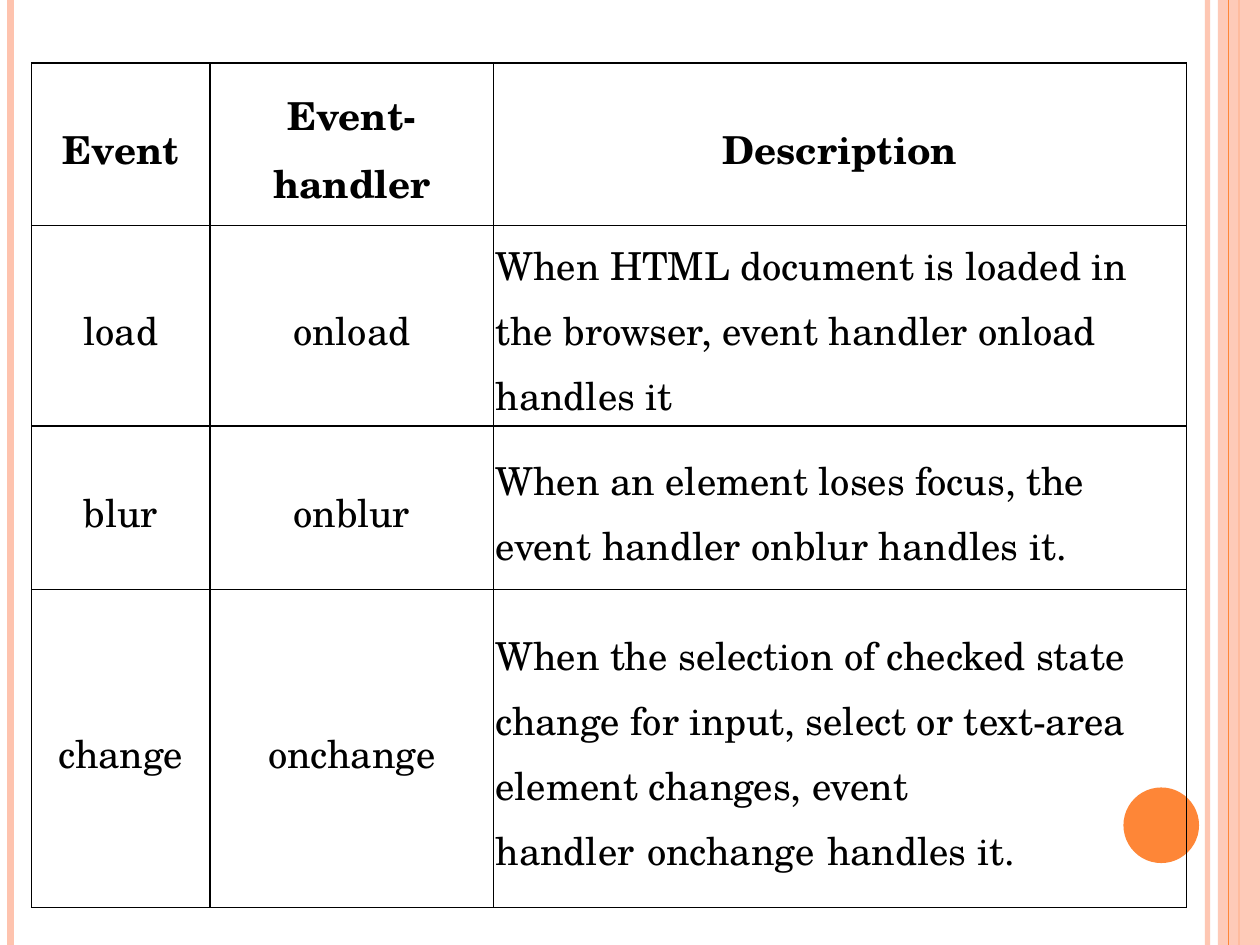
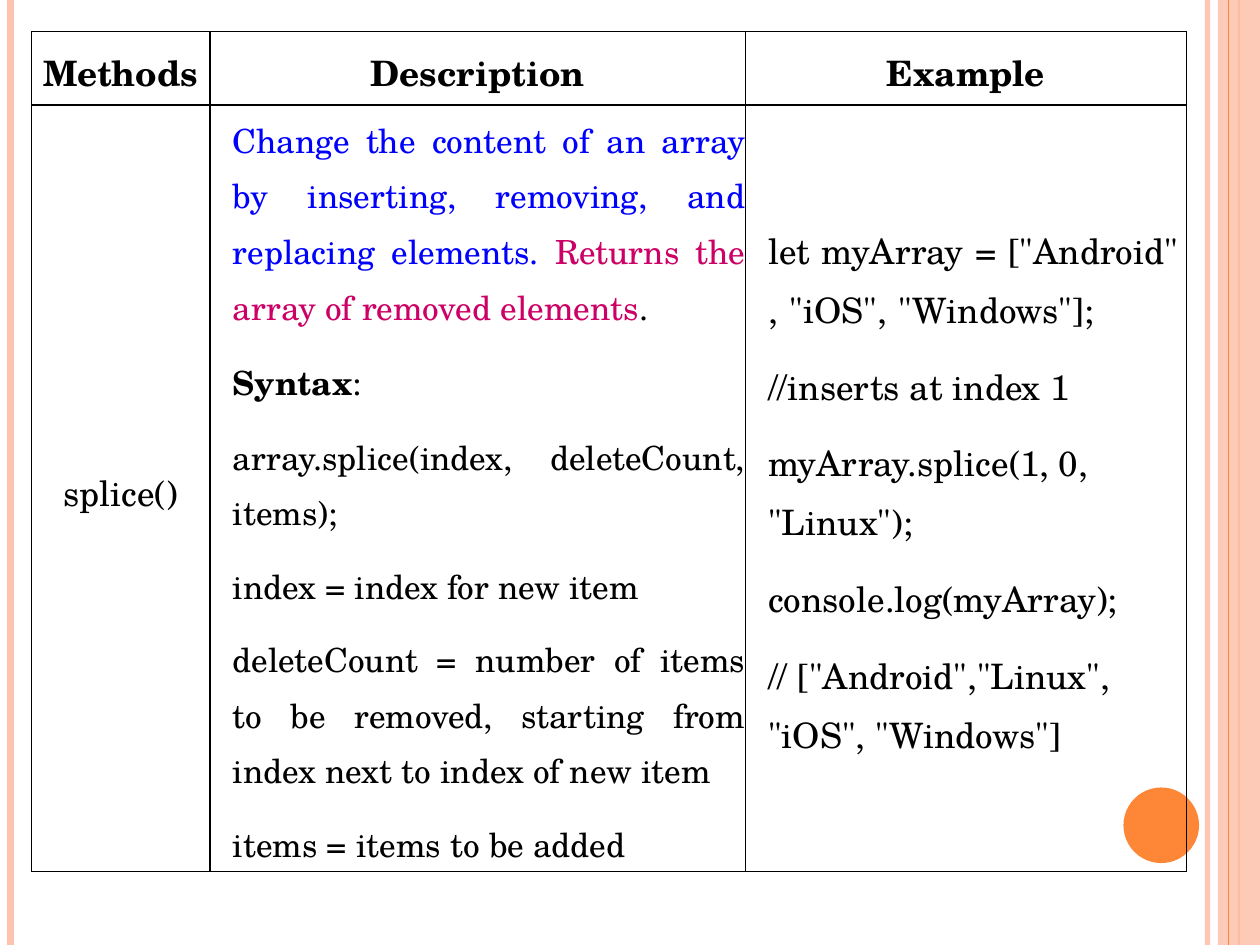
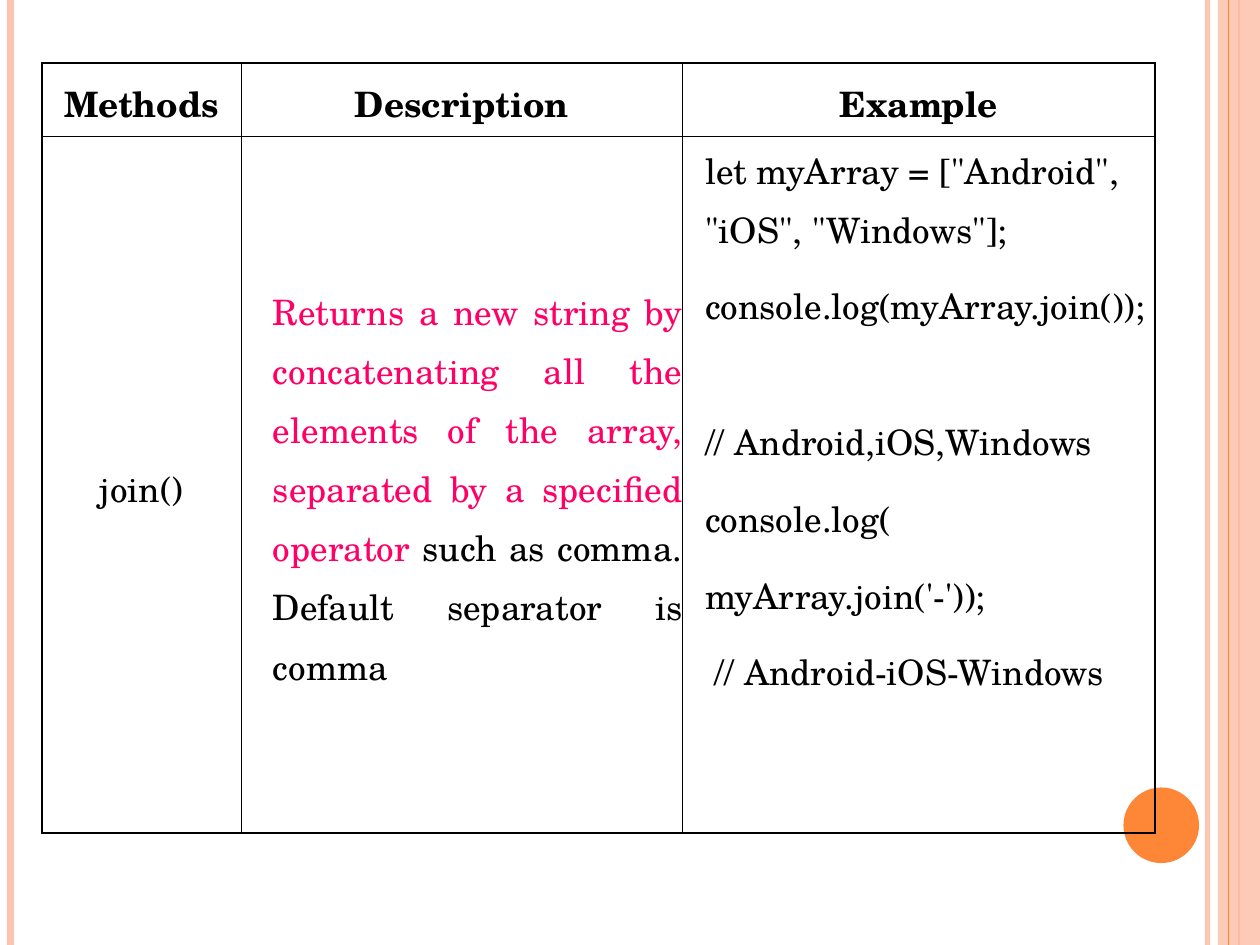
from dataclasses import dataclass
from typing import Optional, Union

from lxml.etree import SubElement
from pptx import Presentation
from pptx.dml.color import RGBColor
from pptx.enum.shapes import MSO_CONNECTOR, MSO_SHAPE
from pptx.enum.text import MSO_ANCHOR, PP_ALIGN
from pptx.oxml import parse_xml
from pptx.oxml.ns import nsdecls, qn
from pptx.util import Pt

SLIDE_WIDTH, SLIDE_HEIGHT = 720, 540
BLANK_LAYOUT = 6
FONT = "TeX Gyre Schola"
BLACK = RGBColor(0x00, 0x00, 0x00)
BLUE = RGBColor(0x00, 0x00, 0xFF)
CRIMSON = RGBColor(0xCC, 0x00, 0x66)
PINK = RGBColor(0xFF, 0x00, 0x66)
ORANGE = RGBColor(0xFE, 0x86, 0x37)
PEACH = RGBColor(0xFE, 0xC3, 0xAE)

LEFT, CENTER, JUSTIFY = PP_ALIGN.LEFT, PP_ALIGN.CENTER, PP_ALIGN.JUSTIFY


@dataclass(frozen=True)
class Stripe:
    x: float
    color: RGBColor
    width: float
    opacity: int = 100


@dataclass(frozen=True)
class Span:
    text: str
    color: RGBColor = BLACK
    bold: bool = False


@dataclass(frozen=True)
class Para:
    content: Union[str, tuple[Span, ...]]
    size: float
    align: PP_ALIGN = LEFT
    indent: float = 0
    bold: bool = False
    space_after: float = 10


@dataclass(frozen=True)
class Cell:
    paras: tuple[Para, ...]
    anchor: MSO_ANCHOR = MSO_ANCHOR.MIDDLE


@dataclass(frozen=True)
class Grid:
    left: float
    top: float
    columns: tuple[float, ...]
    row_heights: tuple[float, ...]
    rows: tuple[tuple[Cell, ...], ...]
    margin: float = 0


OUTER_STRIPES = (Stripe(690, PEACH, 3, 93), Stripe(6, PEACH, 4.5), Stripe(708, ORANGE, 1.5))
BAND_STRIPE = Stripe(702, ORANGE, 0.75)


def tie(text: str) -> str:
    """Keep the words of a phrase together with no-break spaces."""
    return text.replace(" ", chr(160))


def centered(text: str, size: float, bold: bool = False) -> Cell:
    return Cell((Para(text, size, CENTER, bold=bold),))


def header(size: float, *titles: str) -> tuple[Cell, ...]:
    return tuple(centered(title, size, bold=True) for title in titles)


def event_row(event: str, description: str) -> tuple[Cell, ...]:
    return centered(event, 22), centered(f"on{event}", 22), Cell((Para(description, 22),))


def code(text: str, space_after: float = 10) -> Para:
    return Para(text, 20, indent=13, space_after=space_after)


def explanation(content: Union[str, tuple[Span, ...]]) -> Para:
    return Para(content, 19, JUSTIFY, indent=13)


EVENTS = Grid(
    18, 36, (102, 162, 396), (93, 114.5, 93.5, 181.5),
    (
        header(22, "Event", "Event-handler", "Description"),
        event_row("load", "When HTML document is loaded in the browser, "
                          "event handler onload handles it"),
        event_row("blur", "When an element loses focus, the event handler onblur handles it."),
        event_row("change", "When the selection of checked state change for input, select or "
                            "text-area element changes, event "
                            + tie("handler onchange handles") + " it."),
    ),
    margin=1.25,
)

METHOD_HEADER = header(20, "Methods", "Description", "Example")

SPLICE = Grid(
    18, 18, (102, 306, 252), (42, 438),
    (
        METHOD_HEADER,
        (
            centered("splice()", 20),
            Cell((
                explanation((
                    Span("Change the content of an array by inserting, removing, "
                         "and replacing elements. ", BLUE),
                    Span("Returns the array of removed elements", CRIMSON),
                    Span("."),
                )),
                explanation((Span("Syntax", bold=True), Span(":"))),
                explanation("array.splice(index, deleteCount, items);"),
                explanation("index = index for new item"),
                explanation("deleteCount = number of items to be removed, starting from "
                            "index next to index of new item"),
                explanation("items = items to be added"),
            )),
            Cell((
                code(tie('let myArray = ["Android", "iOS", "Windows"];')),
                code("//inserts at index 1"),
                code('myArray.splice(1, 0, "Linux");'),
                code("console.log(myArray);"),
                code('// ["Android","Linux", "iOS", "Windows"]'),
            )),
        ),
    ),
)

JOIN = Grid(
    24, 36, (114, 252, 270), (42, 398),
    (
        METHOD_HEADER,
        (
            centered("join()", 20),
            Cell((Para((
                Span("Returns a new string by concatenating all the elements of the array, "
                     "separated by a specified operator ", PINK),
                Span("such as comma. Default separator is comma"),
            ), 20, JUSTIFY, indent=18),)),
            Cell((
                code('let myArray = ["Android", "iOS", "Windows"];'),
                code("console.log(myArray.join());", space_after=44),
                code("// Android,iOS,Windows"),
                code("console.log("),
                code("myArray.join('-'));"),
                code(" // Android-iOS-Windows"),
            ), MSO_ANCHOR.TOP),
        ),
    ),
)


def set_opacity(shape, percent: int) -> None:
    for color in shape.element.iter(qn("a:srgbClr")):
        SubElement(color, qn("a:alpha")).set("val", str(percent * 1000))


def add_stripe(shapes, stripe: Stripe):
    line = shapes.add_connector(
        MSO_CONNECTOR.STRAIGHT, Pt(stripe.x), Pt(0), Pt(stripe.x), Pt(SLIDE_HEIGHT))
    line.line.color.rgb = stripe.color
    line.line.width = Pt(stripe.width)
    SubElement(line.element.spPr, qn("a:effectLst"))
    if stripe.opacity < 100:
        set_opacity(line, stripe.opacity)
    return line


def add_block(shapes, kind: MSO_SHAPE, left: float, top: float,
              width: float, height: float, color: RGBColor):
    block = shapes.add_shape(kind, Pt(left), Pt(top), Pt(width), Pt(height))
    block.shadow.inherit = False
    block.fill.solid()
    block.fill.fore_color.rgb = color
    block.line.fill.background()
    return block


def decorate_layout(layout, slide) -> None:
    """Draw the shared side bands on the slide, then move them to its layout."""
    shapes = slide.shapes
    decorations = [add_stripe(shapes, stripe) for stripe in OUTER_STRIPES]
    side_band = add_block(shapes, MSO_SHAPE.RECTANGLE, 696, 0, 24, SLIDE_HEIGHT, PEACH)
    set_opacity(side_band, 87)
    decorations += [
        side_band,
        add_stripe(shapes, BAND_STRIPE),
        add_block(shapes, MSO_SHAPE.OVAL, 642, 450, 43.2, 43.2, ORANGE),
    ]
    for decoration in decorations:
        layout.shapes.element.append(decoration.element)


def write_para(paragraph, para: Para) -> None:
    paragraph.alignment = para.align
    paragraph.line_spacing = 1.15
    paragraph.space_after = Pt(para.space_after)
    properties = paragraph._p.get_or_add_pPr()
    properties.set("marL", str(Pt(para.indent)))
    properties.set("indent", "0")
    font = paragraph.font
    font.name, font.size = FONT, Pt(para.size)
    if isinstance(para.content, str):
        font.bold = para.bold
        font.color.rgb = BLACK
        paragraph.add_run().text = para.content
        return
    for span in para.content:
        run = paragraph.add_run()
        run.text = span.text
        run.font.bold = span.bold
        run.font.color.rgb = span.color


def add_borders(cell, color: RGBColor = BLACK, width: float = 1) -> None:
    properties = cell._tc.get_or_add_tcPr()
    for position, side in enumerate("LRTB"):
        properties.insert(position, parse_xml(
            f'<a:ln{side} {nsdecls("a")} w="{Pt(width)}"><a:solidFill>'
            f'<a:srgbClr val="{color}"/></a:solidFill></a:ln{side}>'))


def fill_cell(cell, content: Cell, margin: float) -> None:
    cell.fill.background()
    add_borders(cell)
    cell.vertical_anchor = content.anchor
    cell.margin_left = cell.margin_right = Pt(margin)
    cell.margin_top = cell.margin_bottom = Pt(margin)
    frame = cell.text_frame
    for index, para in enumerate(content.paras):
        write_para(frame.add_paragraph() if index else frame.paragraphs[0], para)


def add_grid(slide, grid: Grid, previous: Optional[Grid] = None) -> None:
    table = slide.shapes.add_table(
        len(grid.rows), len(grid.columns), Pt(grid.left), Pt(grid.top),
        Pt(sum(grid.columns)), Pt(sum(grid.row_heights))).table
    table.first_row = table.horz_banding = False
    for column, width in zip(table.columns, grid.columns):
        column.width = Pt(width)
    for row, height, contents in zip(table.rows, grid.row_heights, grid.rows):
        row.height = Pt(height)
        for cell, content in zip(row.cells, contents):
            fill_cell(cell, content, grid.margin)


def main() -> None:
    deck = Presentation()
    deck.slide_width, deck.slide_height = Pt(SLIDE_WIDTH), Pt(SLIDE_HEIGHT)
    layout = deck.slide_layouts[BLANK_LAYOUT]
    slides = [deck.slides.add_slide(layout) for _ in range(3)]
    decorate_layout(layout, slides[0])
    for slide, grid in zip(slides, (EVENTS, SPLICE, JOIN)):
        add_grid(slide, grid)
    deck.save("out.pptx")


if __name__ == "__main__":
    main()
